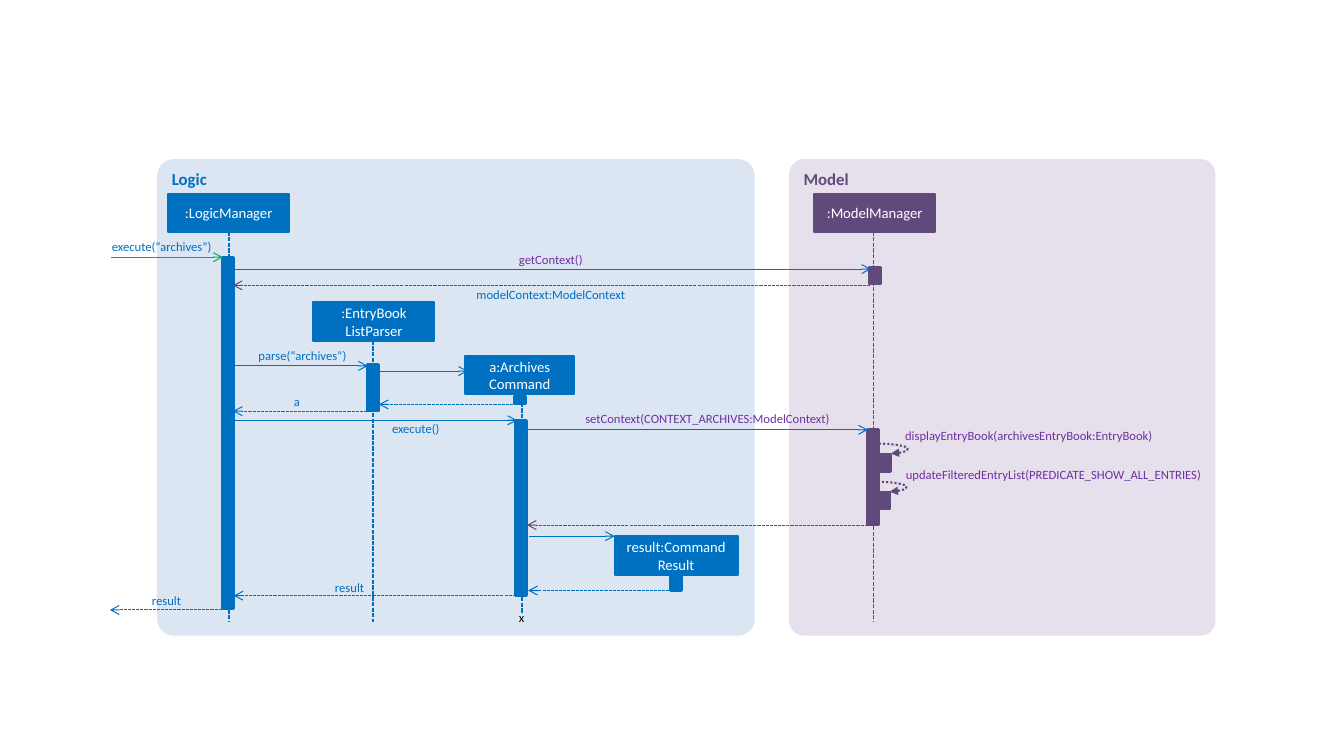
import lxml.etree
import pptx
import pptx.dml.color
import pptx.enum.dml
import pptx.enum.shapes
import pptx.enum.text
import pptx.oxml.ns
import pptx.util

Cm = pptx.util.Cm
Pt = pptx.util.Pt
qn = pptx.oxml.ns.qn
SHAPE = pptx.enum.shapes.MSO_SHAPE
CONNECTOR = pptx.enum.shapes.MSO_CONNECTOR
ALIGN = pptx.enum.text.PP_ALIGN
ANCHOR = pptx.enum.text.MSO_ANCHOR
DASHED = pptx.enum.dml.MSO_LINE.SQUARE_DOT
DOTTED = pptx.enum.dml.MSO_LINE.ROUND_DOT

FONT = "Calibri"
COLORS = {
    "logic": "0070C0",
    "logic_panel": "DCE6F2",
    "model": "604A7B",
    "model_panel": "E6E0EC",
    "model_call": "7030A0",
    "entry": "00B050",
    "white": "FFFFFF",
    "black": "000000",
}
HEAD_H, BAR_W, LABEL_H = 0.97, 0.28, 0.64


def rgb(name):
    return pptx.dml.color.RGBColor.from_string(COLORS[name])


def write(sp, text, size, color, align=ALIGN.LEFT, anchor=ANCHOR.TOP, bold=False):
    tf = sp.text_frame
    tf.word_wrap = True
    tf.vertical_anchor = anchor
    p = tf.paragraphs[0]
    p.text = text
    p.alignment = align
    p.font.name = FONT
    p.font.size = Pt(size)
    p.font.bold = bold
    p.font.color.rgb = rgb(color)


def add_block(slide, kind, x, y, w, h, fill, line_width=0):
    sp = slide.shapes.add_shape(kind, Cm(x), Cm(y), Cm(w), Cm(h))
    sp.shadow.inherit = False
    sp.fill.solid()
    sp.fill.fore_color.rgb = rgb(fill)
    if line_width:
        sp.line.color.rgb = rgb(fill)
        sp.line.width = Pt(line_width)
    else:
        sp.line.fill.background()
    return sp


def add_panel(slide, title, x, w, color):
    sp = add_block(slide, SHAPE.ROUNDED_RECTANGLE, x, 4.01, w, 12.01, color + "_panel")
    sp.adjustments[0] = 0.035
    write(sp, title, 12, color, bold=True)


def add_head(slide, text, x, y, w, color):
    sp = add_block(slide, SHAPE.RECTANGLE, x, y, w, HEAD_H, color, 1.5)
    write(sp, text, 10.5, "white", ALIGN.CENTER, ANCHOR.MIDDLE)


def add_bar(slide, x, y, h, color):
    add_block(slide, SHAPE.RECTANGLE, x, y, BAR_W, h, color, 2)


def add_line(slide, x1, y1, x2, y2, color, width=0.75, dash=None, arrow=None,
             kind=CONNECTOR.STRAIGHT):
    cx = slide.shapes.add_connector(kind, Cm(x1), Cm(y1), Cm(x2), Cm(y2))
    cx.line.color.rgb = rgb(color)
    cx.line.width = Pt(width)
    if dash:
        cx.line.dash_style = dash
    props = cx._element.spPr
    if arrow:
        lxml.etree.SubElement(props.find(qn("a:ln")), qn("a:tailEnd"), type=arrow)
    lxml.etree.SubElement(props, qn("a:effectLst"))
    return cx


def add_self_call(slide, x, y):
    cx = add_line(slide, x, y, x + 0.3, y + 0.25, "model", 1.5, DOTTED,
                  "triangle", CONNECTOR.CURVE)
    geom = cx._element.spPr.find(qn("a:prstGeom"))
    guides = geom.find(qn("a:avLst"))
    if guides is None:
        guides = lxml.etree.SubElement(geom, qn("a:avLst"))
    lxml.etree.SubElement(guides, qn("a:gd"), name="adj1", fmla="val 242100")


def add_label(slide, text, x, y, w, color, align=ALIGN.LEFT):
    sp = slide.shapes.add_textbox(Cm(x), Cm(y), Cm(w), Cm(LABEL_H))
    write(sp, text, 9, color, align)


def main():
    prs = pptx.Presentation()
    prs.slide_width, prs.slide_height = Cm(33.87), Cm(19.05)
    slide = prs.slides.add_slide(prs.slide_layouts[6])

    # Component panels
    add_panel(slide, "Model", 19.89, 10.74, "model")
    add_panel(slide, "Logic", 3.96, 15.06, "logic")

    # Lifelines: x, top, bottom
    for x, top, bottom, color in [
        (22.02, 5.84, 15.67, "model"),
        (5.77, 5.84, 15.67, "logic"),
        (9.4, 8.59, 15.67, "logic"),
        (13.15, 10.01, 15.44, "logic"),
    ]:
        add_line(slide, x, top, x, bottom, color, 1, DASHED)

    # Participants: x, y, width
    for text, x, y, w, color in [
        (":ModelManager", 20.52, 4.88, 3.05, "model"),
        (":LogicManager", 4.24, 4.88, 3.05, "logic"),
        (":EntryBook ListParser", 7.9, 7.62, 3.05, "logic"),
        ("a:Archives Command", 11.73, 8.97, 2.74, "logic"),
        ("result:Command Result", 15.49, 13.51, 3.1, "logic"),
    ]:
        add_head(slide, text, x, y, w, color)

    # Activation bars: x, y, height
    for x, y, h, color in [
        (21.92, 6.73, 0.43, "model"),
        (21.87, 10.82, 2.41, "model"),
        (22.17, 11.46, 0.43, "model"),
        (22.15, 12.4, 0.43, "model"),
        (5.61, 6.48, 8.86, "logic"),
        (9.27, 9.19, 1.17, "logic"),
        (12.97, 9.98, 0.2, "logic"),
        (13, 10.59, 4.42, "logic"),
        (16.89, 14.48, 0.41, "logic"),
    ]:
        add_bar(slide, x, y, h, color)

    # Calls run rightwards and are solid, returns run leftwards and are dashed
    for x1, x2, y, color in [
        (2.79, 5.61, 6.48, "entry"),
        (5.89, 21.95, 6.78, "logic"),
        (21.92, 5.87, 7.19, "model"),
        (5.89, 9.27, 9.22, "logic"),
        (9.58, 11.79, 9.35, "logic"),
        (12.93, 9.55, 10.19, "logic"),
        (9.25, 5.87, 10.36, "logic"),
        (5.89, 13.03, 10.59, "logic"),
        (13.26, 21.87, 10.83, "logic"),
        (21.87, 13.28, 13.23, "model"),
        (13.34, 15.49, 13.51, "logic"),
        (16.87, 13.31, 14.88, "logic"),
        (13, 5.89, 15.01, "logic"),
        (5.59, 2.77, 15.37, "logic"),
    ]:
        dash = DASHED if x2 < x1 else None
        add_line(slide, x1, y, x2, y, color, dash=dash, arrow="arrow")
    add_self_call(slide, 22.15, 11.18)
    add_self_call(slide, 22.12, 12.14)

    # Message labels: x, y, width
    for text, x, y, w, color in [
        ("execute(“archives”)", 2.57, 5.89, 3.1, "logic"),
        ("execute()", 9.63, 10.49, 3.1, "logic"),
        ("setContext(CONTEXT_ARCHIVES:ModelContext)", 14.5, 10.24, 6.76, "model_call"),
        ("displayEntryBook(archivesEntryBook:EntryBook)", 22.56, 10.67, 7.24, "model_call"),
        ("updateFilteredEntryList(PREDICATE_SHOW_ALL_ENTRIES)", 22.58, 11.63, 8.28,
         "model_call"),
        ("a", 7.16, 9.8, 0.6, "logic"),
        ("result", 3.58, 14.81, 1.32, "logic"),
        ("x", 12.83, 15.24, 0.61, "black"),
    ]:
        add_label(slide, text, x, y, w, color)
    for text, x, y, w, color in [
        ("getContext()", 12.75, 6.22, 2.26, "model_call"),
        ("modelContext:ModelContext", 11.25, 7.11, 5.26, "logic"),
        ("parse(“archives”)", 6.07, 8.64, 3.1, "logic"),
        ("result", 7.26, 14.48, 3.1, "logic"),
    ]:
        add_label(slide, text, x, y, w, color, ALIGN.CENTER)

    prs.save("out.pptx")


if __name__ == "__main__":
    main()
